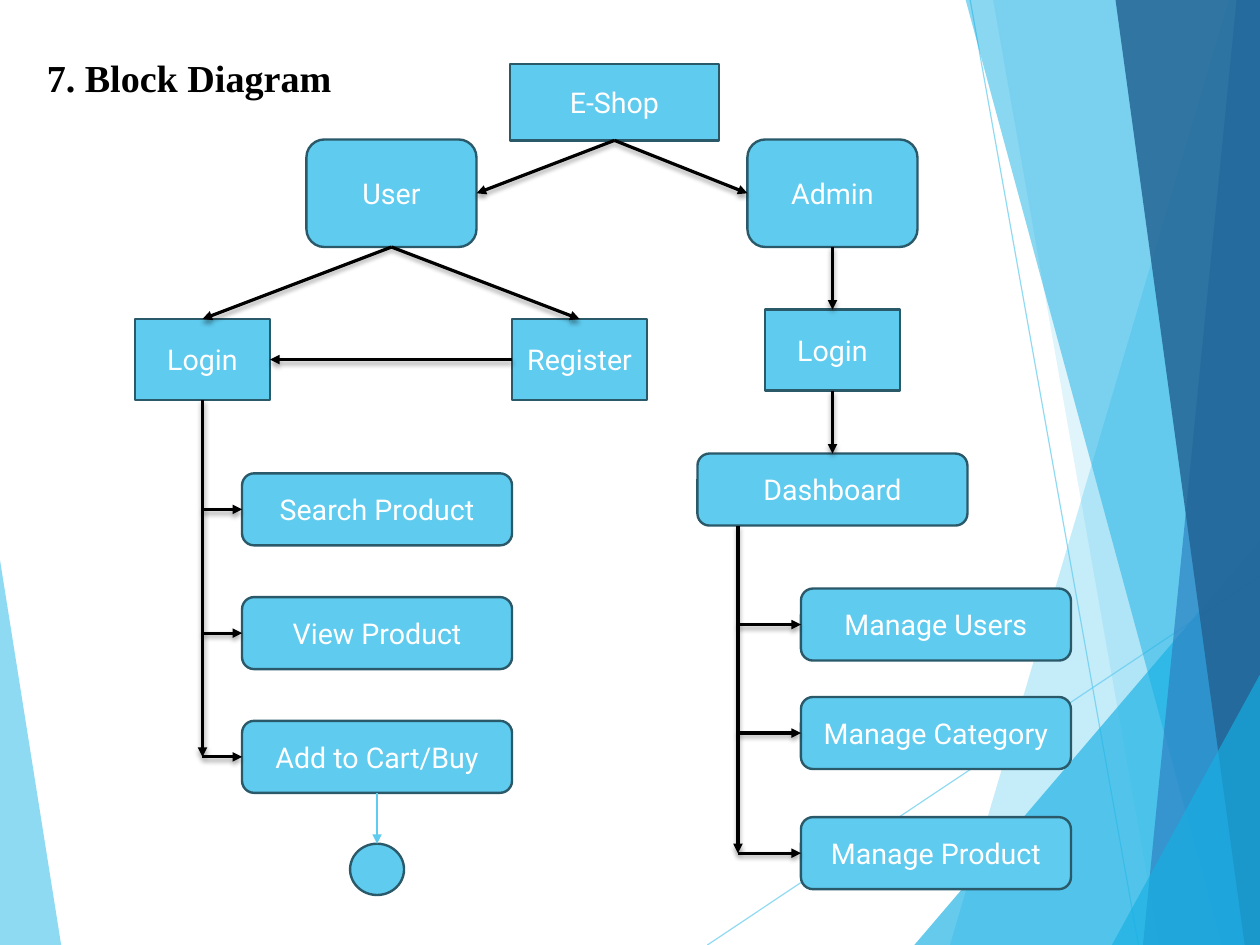
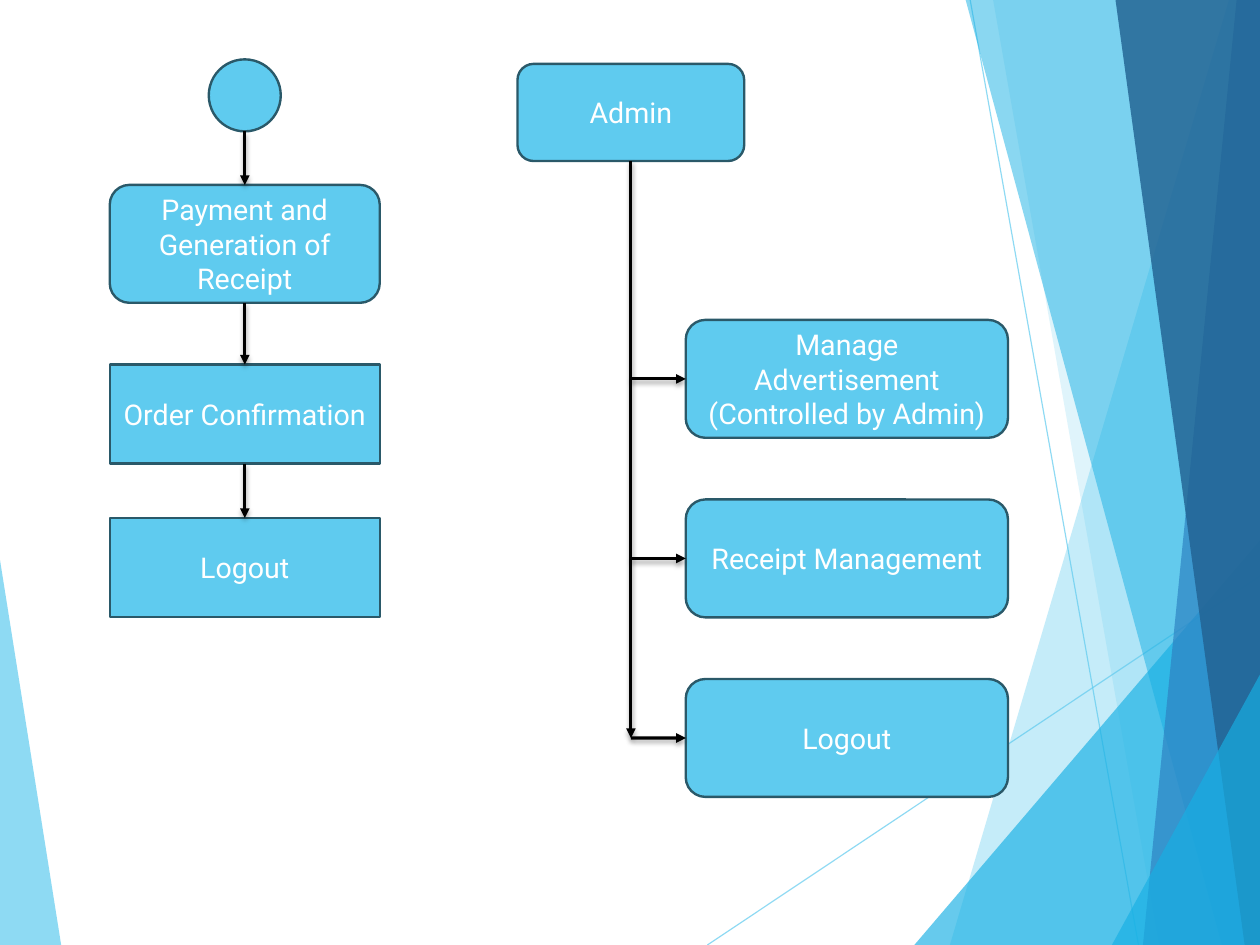
from dataclasses import dataclass

from lxml.etree import SubElement
from pptx import Presentation
from pptx.dml.color import RGBColor
from pptx.enum.shapes import MSO_CONNECTOR, MSO_SHAPE
from pptx.enum.text import MSO_ANCHOR, PP_ALIGN
from pptx.oxml.ns import qn
from pptx.util import Cm, Pt


@dataclass(frozen=True)
class Theme:
    width: float = 28
    height: float = 21
    sky: str = "5FCBEF"
    cyan: str = "17B0E4"
    blue: str = "2E83C3"
    navy: str = "226292"
    outline: str = "2A5969"
    ink: str = "000000"
    paper: str = "FFFFFF"
    title_font: str = "Times New Roman"
    body_font: str = "Roboto"
    title_size: int = 24
    body_size: int = 18


T = Theme()
RECT = MSO_SHAPE.RECTANGLE
ROUND = MSO_SHAPE.ROUNDED_RECTANGLE
CIRCLE = MSO_SHAPE.FLOWCHART_CONNECTOR
TOP, LEFT, BOTTOM, RIGHT = range(4)


# Formatting helpers
def rgb(color):
    return RGBColor.from_string(color)


def set_alpha(sp, percent):
    clr = sp.element.spPr.find(".//" + qn("a:srgbClr"))
    SubElement(clr, qn("a:alpha"), val=str(percent * 1000))


def set_effects(line, shadow):
    effects = SubElement(line.element.spPr, qn("a:effectLst"))
    if shadow:
        outer = SubElement(effects, qn("a:outerShdw"), blurRad=str(Pt(3)),
                           dist=str(Pt(2)), dir="5400000", rotWithShape="0")
        clr = SubElement(outer, qn("a:srgbClr"), val=T.ink)
        SubElement(clr, qn("a:alpha"), val="35000")


def format_run(r, font, size, color, bold=False):
    r.font.name, r.font.size, r.font.bold = font, Pt(size), bold
    r.font.color.rgb = rgb(color)


# Elements
def add_line(s, start, end, color, weight):
    line = s.shapes.add_connector(MSO_CONNECTOR.STRAIGHT, *map(Cm, start + end))
    line.line.color.rgb = rgb(color)
    line.line.width = Pt(weight)
    return line


def add_facet(s, points, color, alpha):
    first, *rest = [(Cm(x), Cm(y)) for x, y in points]
    builder = s.shapes.build_freeform(*first)
    builder.add_line_segments(rest, close=True)
    sp = builder.convert_to_shape()
    sp.shadow.inherit = False
    sp.fill.solid()
    sp.fill.fore_color.rgb = rgb(color)
    sp.line.fill.background()
    set_alpha(sp, alpha)


def add_box(s, kind, x, y, w, h, text=""):
    sp = s.shapes.add_shape(kind, Cm(x), Cm(y), Cm(w), Cm(h))
    sp.shadow.inherit = False
    sp.fill.solid()
    sp.fill.fore_color.rgb = rgb(T.sky)
    sp.line.color.rgb = rgb(T.outline)
    sp.line.width = Pt(1.5)
    if text:
        tf = sp.text_frame
        tf.text = text
        tf.word_wrap = True
        tf.vertical_anchor = MSO_ANCHOR.MIDDLE
        p = tf.paragraphs[0]
        p.alignment = PP_ALIGN.CENTER
        format_run(p.runs[0], T.body_font, T.body_size, T.paper)
    return sp


def add_arrow(s, start, end, color=T.ink, weight=2, shadow=True):
    """Each end is a point in cm or a (shape, side) pair."""
    points = [(0, 0) if not isinstance(e[0], (int, float)) else e
              for e in (start, end)]
    line = add_line(s, *points, color, weight)
    for spot, connect in ((start, line.begin_connect), (end, line.end_connect)):
        if not isinstance(spot[0], (int, float)):
            connect(*spot)
    SubElement(line.line._get_or_add_ln(), qn("a:tailEnd"), type="triangle")
    set_effects(line, shadow)


def add_tree(s, x, start, children):
    """A trunk down to the last child, with a branch to each child."""
    mids = [(sp.top + sp.height / 2) / Cm(1) for sp in children]
    add_arrow(s, start, (x, mids[-1]))
    for sp, y in zip(children, mids):
        add_arrow(s, (x, y), (sp, LEFT))


def add_title(s, text):
    tf = s.shapes.add_textbox(Cm(0.79), Cm(1.09), Cm(7.57), Cm(1.27)).text_frame
    tf.word_wrap = True
    tf.text = text
    format_run(tf.paragraphs[0].runs[0], T.title_font, T.title_size, T.ink, True)


# Background facets, drawn once and kept on the layout
def add_background(s, layout):
    w, h = T.width, T.height
    right_edge = [(w, h), (w, 0)]

    def band(top, bottom):
        return [(top, 0), (bottom, h)] + right_edge

    def corner(bottom, side):
        return [(bottom, h), (w, side), (w, h)]

    add_facet(s, [(0, 12.44), (1.36, h), (0, h)], T.sky, 70)
    for start, end in (((15.72, h), (w, 12.8)), ((21.56, 0), (25.3, h))):
        line = add_line(s, start, end, T.sky, 0.75)
        set_alpha(line, 70)
        set_effects(line, False)
    for points, color, alpha in (
        (band(27.31, 21.11), T.sky, 36),
        (band(22.07, 25.76), T.sky, 20),
        (corner(20.32, 12.01), T.cyan, 66),
        (band(21.46, 27.15), T.cyan, 50),
        (band(27.48, 25.4), T.blue, 70),
        (band(24.79, 27.66), T.navy, 82),
        (corner(24.71, 14.99), T.cyan, 66),
    ):
        add_facet(s, points, color, alpha)

    for holder in list(layout.placeholders):
        layout.shapes.element.remove(holder.element)
    for sp in list(s.shapes):
        layout.shapes.element.append(sp.element)


# Slides
def fill_block_diagram(s):
    add_title(s, "7. Block Diagram")
    shop = add_box(s, RECT, 11.33, 1.42, 4.65, 1.7, "E-Shop")
    user, admin = (add_box(s, ROUND, x, 3.1, 3.78, 2.39, text)
                   for x, text in ((6.81, "User"), (16.61, "Admin")))
    user_login, register, admin_login = (
        add_box(s, RECT, x, y, 3, 1.8, text)
        for x, y, text in ((3, 7.09, "Login"), (11.38, 7.09, "Register"),
                           (17, 6.88, "Login")))
    actions = [add_box(s, ROUND, 5.38, 10.52 + 2.75 * i, 6, 1.6, text)
               for i, text in enumerate(
                   ("Search Product", "View Product", "Add to Cart/Buy"))]
    dashboard = add_box(s, ROUND, 15.5, 10.08, 6, 1.6, "Dashboard")
    tasks = [add_box(s, ROUND, 17.8, y, 6, 1.6, text)
             for y, text in ((13.08, "Manage Users"), (15.49, "Manage Category"),
                             (18.16, "Manage Product"))]
    link = add_box(s, CIRCLE, 7.78, 18.75, 1.2, 1.14)

    for start, end in (
        ((shop, BOTTOM), (user, RIGHT)),
        ((shop, BOTTOM), (admin, LEFT)),
        ((user, BOTTOM), (user_login, TOP)),
        ((user, BOTTOM), (register, TOP)),
        ((register, LEFT), (user_login, RIGHT)),
        ((admin, BOTTOM), (admin_login, TOP)),
        ((admin_login, BOTTOM), (dashboard, TOP)),
    ):
        add_arrow(s, start, end)
    add_tree(s, 4.5, (user_login, BOTTOM), actions)
    add_tree(s, 16.4, (16.4, 11.68), tasks)
    add_arrow(s, (actions[-1], BOTTOM), (link, TOP), T.sky, 1, shadow=False)


def fill_continuation(s):
    # Order flow
    add_box(s, CIRCLE, 4.64, 1.32, 1.6, 1.6)
    payment = add_box(s, ROUND, 2.44, 4.11, 6, 2.62,
                      "Payment and Generation of Receipt")
    order, logout = (add_box(s, RECT, 2.44, y, 6, 2.2, text)
                     for y, text in ((8.1, "Order Confirmation"),
                                     (11.51, "Logout")))
    add_arrow(s, (5.44, 2.92), (payment, TOP))
    add_arrow(s, (payment, BOTTOM), (order, TOP))
    add_arrow(s, (order, BOTTOM), (logout, TOP))

    # Admin tasks
    admin = add_box(s, ROUND, 11.5, 1.42, 5.04, 2.16, "Admin")
    tasks = [add_box(s, ROUND, 15.24, 7.11 + 3.99 * i, 7.16, 2.62, text)
             for i, text in enumerate(
                 ("Manage Advertisement (Controlled by Admin)",
                  "Receipt Management", "Logout"))]
    add_tree(s, 14.02, (admin, BOTTOM), tasks)


def main():
    prs = Presentation()
    prs.slide_width, prs.slide_height = Cm(T.width), Cm(T.height)
    layout = prs.slide_layouts[6]
    slides = [prs.slides.add_slide(layout) for _ in range(2)]
    add_background(slides[0], layout)
    fill_block_diagram(slides[0])
    fill_continuation(slides[1])
    prs.save("out.pptx")


if __name__ == "__main__":
    main()
